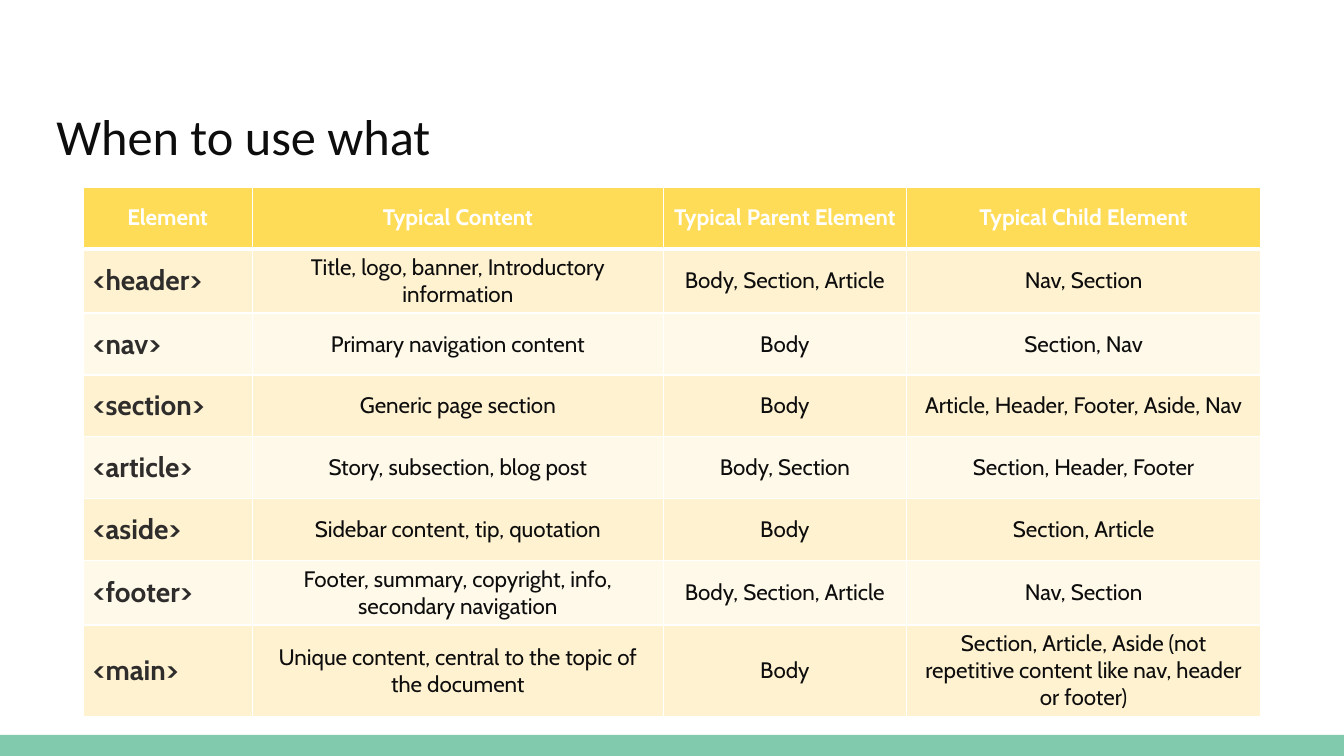
from lxml.etree import SubElement
from pptx import Presentation
from pptx.dml.color import RGBColor
from pptx.enum.shapes import MSO_SHAPE as Shape
from pptx.enum.text import MSO_ANCHOR as Anchor, PP_ALIGN as Align
from pptx.oxml.ns import qn
from pptx.util import Cm, Pt

WHITE = RGBColor(0xFF, 0xFF, 0xFF)
INK = RGBColor(0x0D, 0x0D, 0x0D)
TAG_GREY = RGBColor(0x2E, 0x2D, 0x2C)
YELLOW = RGBColor(0xFF, 0xDC, 0x57)
BAND_DARK = RGBColor(0xFF, 0xF2, 0xD1)
BAND_LIGHT = RGBColor(0xFF, 0xF9, 0xEA)
GREEN = RGBColor(0x82, 0xCA, 0xAE)

TITLE_FONT = {"name": "Calibri", "size": Pt(36), "bold": False, "color": INK}
HEADING_FONT = {"name": "Cabin", "size": Pt(16), "bold": True, "color": WHITE}
TAG_FONT = {"name": "Cabin", "size": Pt(20), "bold": True, "color": TAG_GREY}
BODY_FONT = {"name": "Cabin", "size": Pt(16), "bold": False, "color": INK}

COLUMN_WIDTHS = (4.27, 10.36, 6.12, 8.94)
ROW_HEIGHT = 1.56
ROWS = (
    ("Element", "Typical Content", "Typical Parent Element", "Typical Child Element"),
    ("<header>", "Title, logo, banner, Introductory information",
     "Body, Section, Article", "Nav, Section"),
    ("<nav>", "Primary navigation content", "Body", "Section, Nav"),
    ("<section>", "Generic page section", "Body", "Article, Header, Footer, Aside, Nav"),
    ("<article>", "Story, subsection, blog post", "Body, Section", "Section, Header, Footer"),
    ("<aside>", "Sidebar content, tip, quotation", "Body", "Section, Article"),
    ("<footer>", "Footer, summary, copyright, info, secondary navigation",
     "Body, Section, Article", "Nav, Section"),
    ("<main>", "Unique content, central to the topic of the document", "Body",
     "Section, Article, Aside (not repetitive content like nav, header or footer)"),
)


def apply_format(font, values):
    for name, value in values.items():
        if name == "color":
            font.color.rgb = value
        else:
            setattr(font, name, value)


def add_borders(cell, widths):
    """Draw white borders; widths maps the sides L, R, T, B to points."""
    properties = cell._tc.get_or_add_tcPr()
    for side, width in widths.items():
        line = SubElement(properties, qn(f"a:ln{side}"), w=str(Pt(width)))
        fill = SubElement(line, qn("a:solidFill"))
        SubElement(fill, qn("a:srgbClr"), val=str(WHITE))


def add_footer_bar(slide, left, top, width, height):
    bar = slide.shapes.add_shape(Shape.RECTANGLE, left, top, width, height)
    bar.shadow.inherit = False
    bar.fill.solid()
    bar.fill.fore_color.rgb = GREEN
    bar.line.fill.background()


def place_title(slide, text, left, top, width, height):
    title = slide.shapes.title
    title.left, title.top, title.width, title.height = left, top, width, height
    frame = title.text_frame
    frame.margin_left = frame.margin_right = 0
    frame.vertical_anchor = Anchor.TOP
    frame.text = text
    paragraph = frame.paragraphs[0]
    paragraph.alignment = Align.LEFT
    paragraph.line_spacing = 0.9
    apply_format(paragraph.runs[0].font, TITLE_FONT)


def format_cell(cell, text, row, column):
    add_borders(cell, {"L": 1, "R": 1, "T": 3 if row == 1 else 1, "B": 3 if row == 0 else 1})
    cell.fill.solid()
    if row == 0:
        color, font = YELLOW, HEADING_FONT
    else:
        color = BAND_DARK if row % 2 else BAND_LIGHT
        font = BODY_FONT if column else TAG_FONT
    cell.fill.fore_color.rgb = color
    cell.vertical_anchor = Anchor.MIDDLE
    cell.text = text
    paragraph = cell.text_frame.paragraphs[0]
    paragraph.alignment = Align.LEFT if font is TAG_FONT else Align.CENTER
    apply_format(paragraph.runs[0].font, font)


def add_element_table(slide, left, top):
    table = slide.shapes.add_table(
        len(ROWS), len(COLUMN_WIDTHS), left, top,
        Cm(sum(COLUMN_WIDTHS)), Cm(ROW_HEIGHT * len(ROWS)),
    ).table
    for column, width in zip(table.columns, COLUMN_WIDTHS):
        column.width = Cm(width)
    for row, texts in enumerate(ROWS):
        table.rows[row].height = Cm(ROW_HEIGHT)
        for column, text in enumerate(texts):
            format_cell(table.cell(row, column), text, row, column)


def main():
    presentation = Presentation()
    presentation.slide_width, presentation.slide_height = Cm(33.87), Cm(19.05)
    slide = presentation.slides.add_slide(presentation.slide_layouts[5])
    bar_height = Cm(0.53)
    add_footer_bar(slide, 0, presentation.slide_height - bar_height,
                   presentation.slide_width, bar_height)
    place_title(slide, "When to use what", Cm(1.42), Cm(2.69), Cm(31.01), Cm(2))
    add_element_table(slide, Cm(2.09), Cm(4.71))
    presentation.save("out.pptx")


if __name__ == "__main__":
    main()
